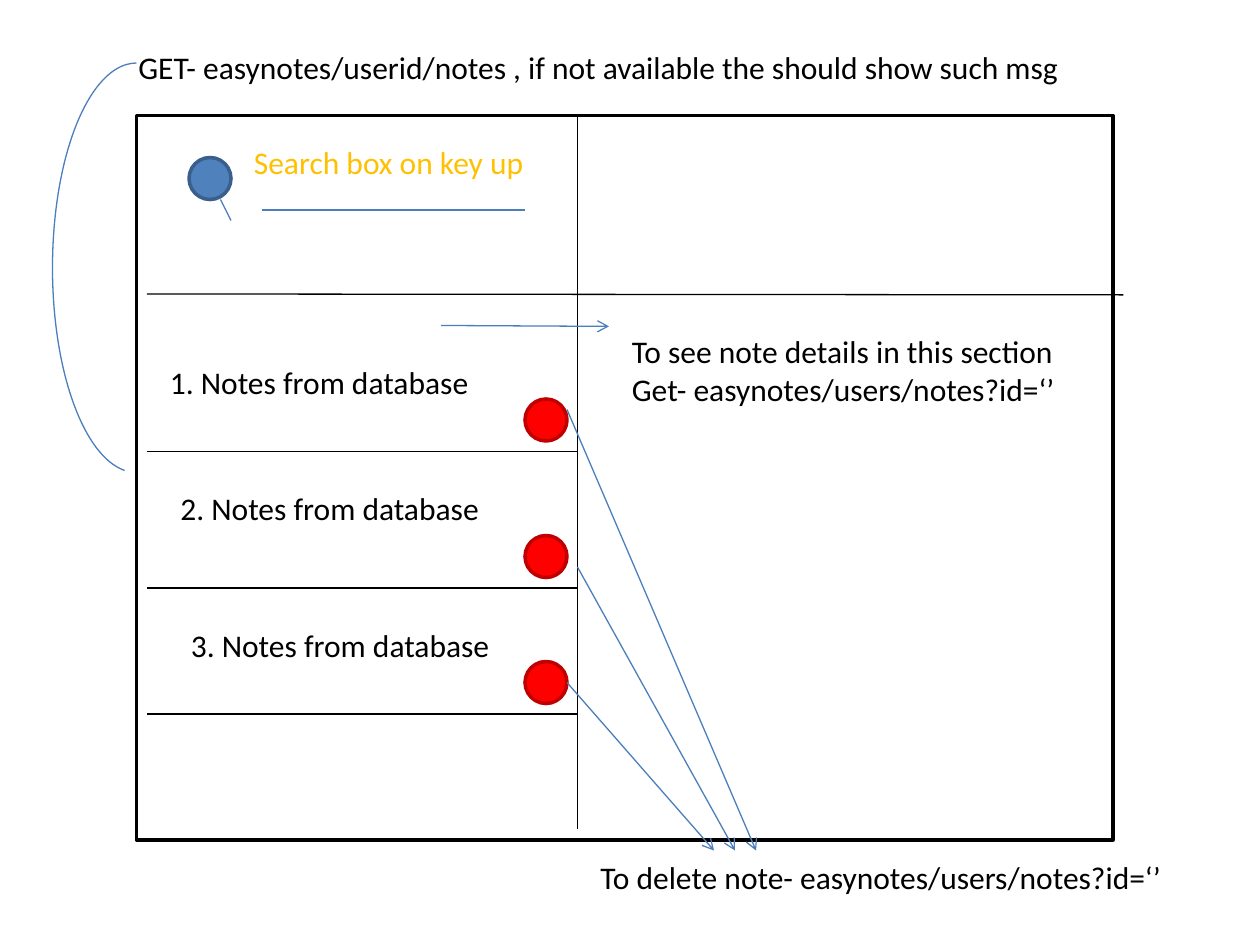
from dataclasses import dataclass

from lxml import etree
from pptx import Presentation
from pptx.dml.color import RGBColor
from pptx.enum.shapes import MSO_CONNECTOR as Connector, MSO_SHAPE as Shape
from pptx.enum.text import MSO_AUTO_SIZE as AutoSize
from pptx.oxml.ns import qn
from pptx.util import Pt

BLACK, WHITE, RED, DARK_RED = "000000", "FFFFFF", "FF0000", "C00000"
BLUE, DARK_BLUE, LINE_BLUE, AMBER = "4F81BD", "3A5F8C", "4B7EBC", "FFC000"
DOT_SIZE = 24
ROW_LEFT, DIVIDER = 84, 330


@dataclass
class Figure:
    kind: Shape
    left: float
    top: float
    width: float
    height: float
    line: str
    fill: str | None = None
    weight: float = 2


@dataclass
class Rule:
    start: tuple[float, float]
    end: tuple[float, float]
    color: str = LINE_BLUE
    arrow: bool = False


@dataclass
class Label:
    left: float
    top: float
    width: float
    lines: list[str]
    color: str = BLACK
    height: float = 29
    fit: bool = True


def rgb(value: str) -> RGBColor:
    return RGBColor.from_string(value)


def draw_figure(page, figure: Figure):
    shape = page.shapes.add_shape(
        figure.kind, Pt(figure.left), Pt(figure.top), Pt(figure.width), Pt(figure.height))
    shape.shadow.inherit = False
    if figure.fill:
        shape.fill.solid()
        shape.fill.fore_color.rgb = rgb(figure.fill)
    else:
        shape.fill.background()
    shape.line.color.rgb = rgb(figure.line)
    shape.line.width = Pt(figure.weight)
    return shape


def draw_rule(page, rule: Rule) -> None:
    line = page.shapes.add_connector(
        Connector.STRAIGHT, *(Pt(value) for value in rule.start + rule.end))
    line.line.color.rgb = rgb(rule.color)
    line.line.width = Pt(0.75)
    properties = line._element.spPr
    if rule.arrow:
        etree.SubElement(properties.find(qn("a:ln")), qn("a:tailEnd"), type="arrow")
    etree.SubElement(properties, qn("a:effectLst"))


def draw_label(page, label: Label) -> None:
    box = page.shapes.add_textbox(
        Pt(label.left), Pt(label.top), Pt(label.width), Pt(label.height))
    frame = box.text_frame
    frame.word_wrap = True
    frame.auto_size = AutoSize.SHAPE_TO_FIT_TEXT if label.fit else AutoSize.NONE
    font_format = {"name": "Calibri", "size": Pt(18)}
    for index, line in enumerate(label.lines):
        para = frame.add_paragraph() if index else frame.paragraphs[0]
        span = para.add_run()
        span.text = line
        for name, value in font_format.items():
            setattr(span.font, name, value)
        span.font.color.rgb = rgb(label.color)


def draw_arc(page) -> None:
    arc = draw_figure(page, Figure(Shape.ARC, 30, 36, 96, 234, LINE_BLUE, weight=0.75))
    arc.adjustments[0] = 162
    arc.adjustments[1] = 51.99
    arc._element.spPr.find(qn("a:xfrm")).set("flipH", "1")


def dot(left: float, top: float, line: str, fill: str) -> Figure:
    return Figure(Shape.OVAL, left, top, DOT_SIZE, DOT_SIZE, line, fill)


window = Figure(Shape.RECTANGLE, 78, 66, 558, 414, BLACK, WHITE)
delete_dots = [dot(300, top, DARK_RED, RED) for top in (228, 306, 378)]
search_lens = dot(108, 90, DARK_BLUE, BLUE)

rules = [
    Rule((DIVIDER, 66), (DIVIDER, 474), BLACK),
    Rule((ROW_LEFT, 168), (642, 168.5), BLACK),
    *(Rule((ROW_LEFT, y), (DIVIDER, y), BLACK) for y in (258, 336, 408)),
    Rule((324, 234), (432, 486), arrow=True),
    Rule((DIVIDER, 324), (420, 486), arrow=True),
    Rule((324, 390), (408, 486), arrow=True),
    Rule((126, 114), (132, 126)),
    Rule((150, 120), (300, 120)),
    Rule((252, 186), (348, 186.5), arrow=True),
]

labels = [
    *(Label(84 + 6 * number, top, 222, [f"{number}. Notes from database"])
      for number, top in enumerate((204, 276, 354), 1)),
    Label(72, 24, 582,
          ["GET- easynotes/userid/notes , if not available the should show such msg"]),
    Label(336, 486.75, 348, ["To delete note- easynotes/users/notes?id=‘’"]),
    Label(138, 78, 186, ["Search box on key up"], AMBER, 51, fit=False),
    Label(354, 186, 276,
          ["To see note details in this section", "Get- easynotes/users/notes?id=‘’"],
          height=51),
]

deck = Presentation()
deck.slide_width, deck.slide_height = Pt(720), Pt(540)
page = deck.slides.add_slide(deck.slide_layouts[6])

for figure in [window, *delete_dots, search_lens]:
    draw_figure(page, figure)
for rule in rules:
    draw_rule(page, rule)
for label in labels:
    draw_label(page, label)
draw_arc(page)

deck.save("out.pptx")
